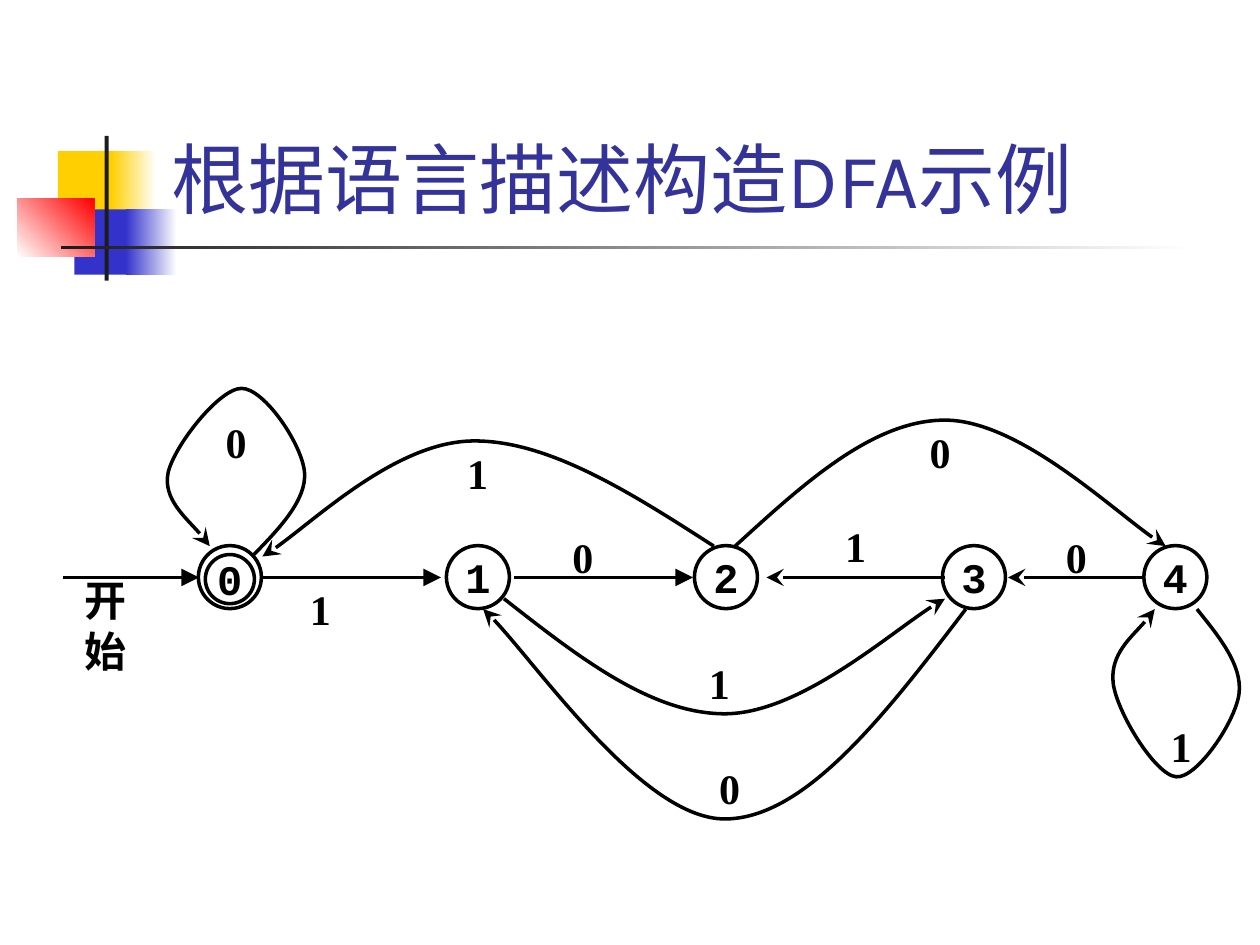
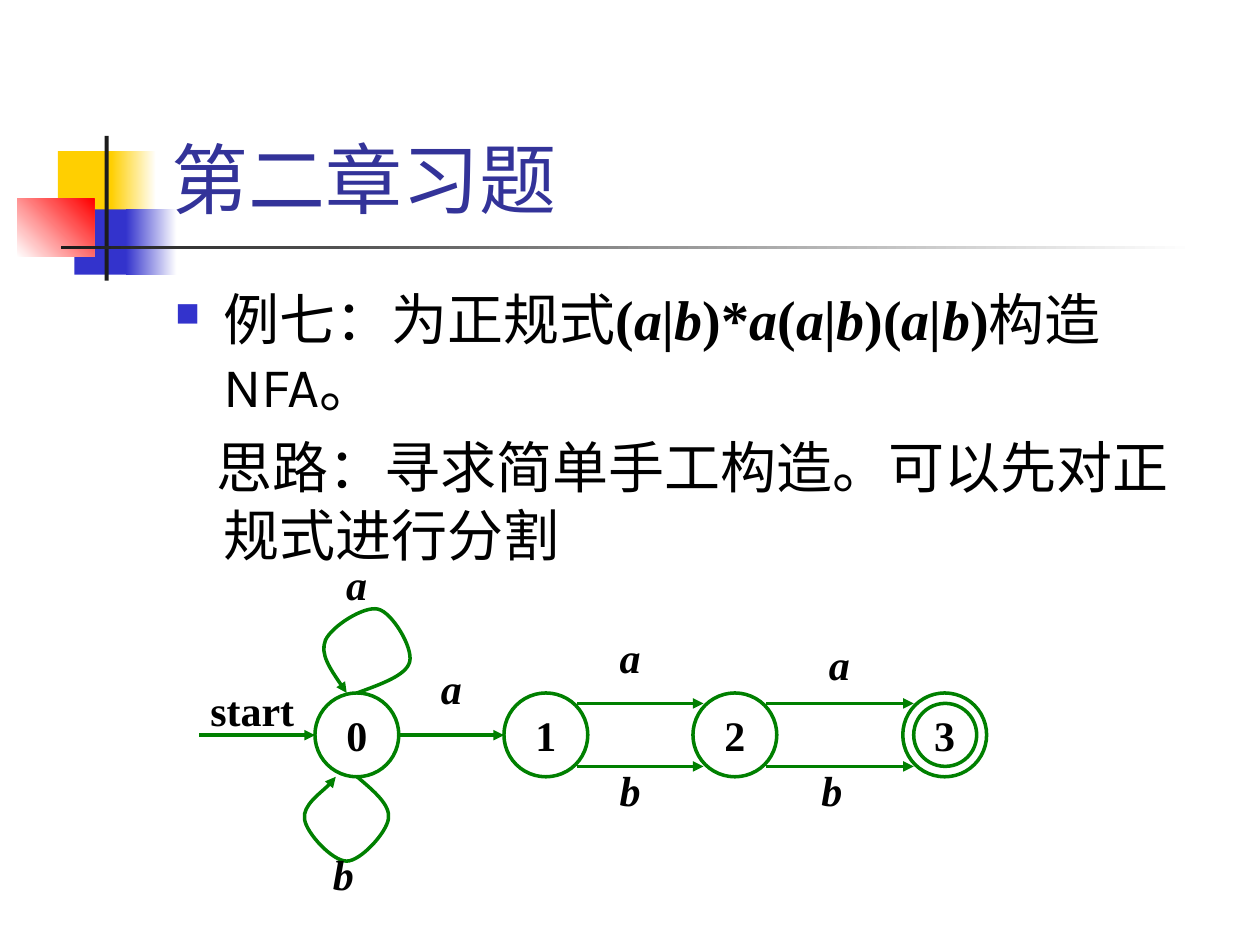
from lxml import etree
from pptx import Presentation
from pptx.dml.color import RGBColor
from pptx.enum.shapes import MSO_CONNECTOR, MSO_SHAPE
from pptx.enum.text import MSO_ANCHOR, PP_ALIGN
from pptx.oxml.ns import qn
from pptx.util import Cm, Pt

RECT, OVAL, STRAIGHT = MSO_SHAPE.RECTANGLE, MSO_SHAPE.OVAL, MSO_CONNECTOR.STRAIGHT
MIDDLE, BOTTOM, TOP = MSO_ANCHOR.MIDDLE, MSO_ANCHOR.BOTTOM, MSO_ANCHOR.TOP
LEFT, CENTER = PP_ALIGN.LEFT, PP_ALIGN.CENTER

BLACK = RGBColor(0x00, 0x00, 0x00)
WHITE = RGBColor(0xFF, 0xFF, 0xFF)
INK = RGBColor(0x1C, 0x1C, 0x1C)
YELLOW = RGBColor(0xFF, 0xCF, 0x01)
BLUE = RGBColor(0x33, 0x33, 0xCC)
RED = RGBColor(0xFF, 0x00, 0x00)
NAVY = RGBColor(0x33, 0x33, 0x99)
GREEN = RGBColor(0x00, 0x80, 0x00)

# Text formats
TITLE = dict(name="Karla", size=Pt(44))
BODY = dict(name="Karla", size=Pt(32))
MATH = dict(name="Times New Roman", size=Pt(32), bold=True)
VAR = dict(MATH, italic=True)
MONO = dict(name="Courier New", size=Pt(24), bold=True)
SERIF = dict(name="Times New Roman", size=Pt(24), bold=True)
SLANT = dict(SERIF, italic=True)

# Frame formats
TITLE_FRAME = dict(word_wrap=True, vertical_anchor=BOTTOM)
BODY_FRAME = dict(word_wrap=True, vertical_anchor=TOP)
WIDE = dict(word_wrap=False, vertical_anchor=MIDDLE)
TIGHT = dict(WIDE, margin_left=Cm(0.15), margin_right=Cm(0.15),
             margin_top=Cm(0.08), margin_bottom=Cm(0.08))
TIGHT_TOP = dict(TIGHT, vertical_anchor=TOP)

# Decoration: left, top, width, height, colour(s), gradient angle
DECOR = [
    (1.17, 3.05, 1.22, 1.32, [YELLOW], 0),
    (2.24, 3.05, 0.91, 1.32, [YELLOW, WHITE], 0),
    (1.5, 4.22, 1.17, 1.32, [BLUE], 0),
    (2.54, 4.22, 1.02, 1.32, [BLUE, WHITE], 0),
    (0.35, 4.01, 1.55, 1.17, [WHITE, RED], 45),
    (2.11, 2.74, 0.08, 2.92, [INK], 0),
    (1.23, 4.95, 22.86, 0.08, [INK, WHITE], 0),
]

# Automata: nodes (left, top, diameter, text), arrows (x1, x2, y, head),
# curves (start, then three points per Bezier piece), labels (text, left, top)
DFA = dict(
    title="根据语言描述构造DFA示例", color=BLACK, head="stealth", head_size="lg",
    node_font=MONO, label_font=SERIF, node_frame=WIDE, label_frame=WIDE,
    label_size=(1.06, 0.85), label_align=CENTER,
    nodes=[(4, 11, 1.27, "")]
    + [(4 + 5 * i, 11, 1.27, str(i)) for i in (1, 2, 3)]
    + [(23.06, 11, 1.27, "4"), (4.14, 11.18, 0.99, "0")],
    arrows=[(1.27, 4.01, 11.64, "triangle"), (5.29, 8.89, 11.64, "triangle"),
            (10.37, 13.97, 11.64, "triangle"), (19.05, 15.45, 11.64, "stealth"),
            (23.07, 20.32, 11.64, "stealth")],
    curves=[
        [(5.08, 11.22), (5.64, 10.65), (6.18, 10.08), (6.14, 9.53),
         (6.1, 8.97), (5.33, 7.83), (4.87, 7.83),
         (4.42, 7.83), (3.51, 8.99), (3.39, 9.53),
         (3.28, 10.06), (4.08, 10.76), (4.23, 11.01)],
        [(10.16, 12.07), (11.64, 13.23), (13.12, 14.39), (14.61, 14.39),
         (16.09, 14.39), (18.31, 12.45), (19.05, 12.07)],
        [(14.82, 11.01), (16.21, 9.74), (17.6, 8.47), (19.05, 8.47),
         (20.5, 8.47), (22.76, 10.58), (23.5, 11.01)],
        [(14.39, 11.01), (12.73, 9.94), (11.05, 8.87), (9.53, 8.89),
         (8, 8.91), (5.99, 10.82), (5.29, 11.22)],
        [(19.47, 12.28), (17.86, 14.39), (16.23, 16.51), (14.61, 16.51),
         (12.98, 16.51), (10.54, 12.98), (9.74, 12.28)],
        [(24.13, 12.28), (24.59, 12.85), (25.04, 13.41), (24.98, 13.97),
         (24.92, 14.53), (24.13, 15.7), (23.71, 15.66),
         (23.28, 15.62), (22.5, 14.33), (22.44, 13.76),
         (22.38, 13.18), (23.14, 12.52), (23.28, 12.28)],
    ],
    labels=[("1", 5.93, 11.85), ("0", 4.23, 8.47), ("0", 11.22, 10.8),
            ("1", 13.97, 13.34), ("0", 18.42, 8.68), ("1", 9.1, 9.1),
            ("0", 14.18, 15.45), ("1", 16.72, 10.58), ("0", 21.17, 10.8),
            ("1", 23.28, 14.61)],
    start=("开始", 1.06, 12.07, 2.12, 1.06, MONO),
)
NFA = dict(
    title="第二章习题", color=GREEN, head="triangle", head_size="med",
    node_font=SERIF, label_font=SLANT, node_frame=TIGHT, label_frame=TIGHT_TOP,
    label_size=(0.74, 1.17), label_align=LEFT,
    nodes=[(x, 13.97, 1.69, str(i))
           for i, x in enumerate((6.35, 10.16, 13.97, 18.2))]
    + [(18.42, 14.18, 1.27, "")],
    arrows=[(4.02, 6.35, 14.82, "triangle"), (8.04, 10.16, 14.82, "triangle")]
    + [(x1, x2, y, "triangle") for x1, x2 in ((11.64, 14.18), (15.45, 18.42))
       for y in (14.18, 15.45)],
    curves=[
        [(7.2, 13.97), (7.68, 13.79), (8.19, 13.62), (8.26, 13.34),
         (8.33, 13.05), (7.9, 12.34), (7.62, 12.28),
         (7.34, 12.21), (6.68, 12.63), (6.56, 12.91),
         (6.45, 13.19), (6.72, 13.58), (6.99, 13.97)],
        [(7.2, 15.66), (7.54, 15.95), (7.88, 16.23), (7.83, 16.51),
         (7.79, 16.79), (7.27, 17.36), (6.99, 17.36),
         (6.7, 17.36), (6.17, 16.79), (6.14, 16.51),
         (6.1, 16.23), (6.7, 15.81), (6.77, 15.66)],
    ],
    labels=[("a", 6.83, 11.18), ("b", 6.56, 17.02), ("a", 8.74, 13.28),
            ("a", 12.34, 12.65), ("b", 12.34, 15.34), ("a", 16.56, 12.8),
            ("b", 16.41, 15.34)],
    start=("start", 4.09, 13.72, 2.01, 1.17, SERIF),
)

EXERCISE = [
    [("例七：为正规式", BODY), ("(", MATH), ("a|b", VAR), (")*", MATH), ("a", VAR),
     ("(", MATH), ("a|b", VAR), (")(", MATH), ("a|b", VAR), (")", MATH),
     ("构造NFA。", BODY)],
    [("思路：寻求简单手工构造。可以先对正规式进行分割", BODY)],
]


def write(sp, paragraphs, frame, align=LEFT, color=BLACK):
    tf = sp.text_frame
    for key, value in frame.items():
        setattr(tf, key, value)
    for i, runs in enumerate(paragraphs):
        p = tf.add_paragraph() if i else tf.paragraphs[0]
        p.alignment = align
        for text, font in runs:
            r = p.add_run()
            r.text = text
            r.font.color.rgb = color
            for key, value in font.items():
                setattr(r.font, key, value)
    return tf


def outline(sp, color, head=None, size="med"):
    sp.line.color.rgb = color
    sp.line.width = Pt(2)
    if head:
        ln = sp._element.find(".//" + qn("a:ln"))
        etree.SubElement(ln, qn("a:tailEnd"), type=head, w=size, len=size)


prs = Presentation()
prs.slide_width, prs.slide_height = Cm(25.4), Cm(19.05)

for d in (DFA, NFA):
    s = prs.slides.add_slide(prs.slide_layouts[6])

    # Decoration
    for x, y, w, h, colors, angle in DECOR:
        sp = s.shapes.add_shape(RECT, Cm(x), Cm(y), Cm(w), Cm(h))
        sp.shadow.inherit = False
        sp.line.fill.background()
        if len(colors) == 1:
            sp.fill.solid()
            sp.fill.fore_color.rgb = colors[0]
        else:
            sp.fill.gradient()
            sp.fill.gradient_angle = angle
            for stop, color in zip(sp.fill.gradient_stops, colors):
                stop.color.rgb = color

    # Title
    sp = s.shapes.add_textbox(Cm(3.2), Cm(0.58), Cm(21.64), Cm(4.06))
    write(sp, [[(d["title"], TITLE)]], TITLE_FRAME, color=NAVY)

    # States
    for x, y, size, text in d["nodes"]:
        sp = s.shapes.add_shape(OVAL, Cm(x), Cm(y), Cm(size), Cm(size))
        sp.shadow.inherit = False
        sp.fill.background()
        outline(sp, d["color"])
        if text:
            write(sp, [[(text, d["node_font"])]], d["node_frame"], CENTER)

    # Straight transitions
    for x1, x2, y, head in d["arrows"]:
        sp = s.shapes.add_connector(STRAIGHT, Cm(x1), Cm(y), Cm(x2), Cm(y))
        outline(sp, d["color"], head, d["head_size"])
        etree.SubElement(sp._element.spPr, qn("a:effectLst"))

    # Curved transitions: every three segments become one Bezier piece
    for curve in d["curves"]:
        points = [(Cm(x), Cm(y)) for x, y in curve]
        builder = s.shapes.build_freeform(*points[0])
        builder.add_line_segments(points[1:], close=False)
        sp = builder.convert_to_shape()
        segments = list(sp._element.iter(qn("a:lnTo")))
        for i in range(0, len(segments), 3):
            bezier = etree.SubElement(segments[i].getparent(), qn("a:cubicBezTo"))
            for segment in segments[i:i + 3]:
                bezier.append(segment[0])
                segment.getparent().remove(segment)
        sp.shadow.inherit = False
        sp.fill.background()
        outline(sp, d["color"], d["head"], d["head_size"])

    # Labels
    labels = [(text, x, y, *d["label_size"], d["label_font"])
              for text, x, y in d["labels"]]
    for text, x, y, w, h, font in labels + [d["start"]]:
        sp = s.shapes.add_textbox(Cm(x), Cm(y), Cm(w), Cm(h))
        write(sp, [[(text, font)]], d["label_frame"], d["label_align"])

# Exercise text on the last slide
sp = s.shapes.add_textbox(Cm(3.28), Cm(5.61), Cm(21.59), Cm(11.43))
tf = write(sp, EXERCISE, BODY_FRAME)
for p, indent in zip(tf.paragraphs, (-0.97, -0.14)):
    pPr = p._p.get_or_add_pPr()
    pPr.set("marL", str(Cm(0.97)))
    pPr.set("indent", str(Cm(indent)))
tf.paragraphs[1].space_before = Pt(8)
pPr = tf.paragraphs[0]._p.get_or_add_pPr()
bullet_color = etree.SubElement(pPr, qn("a:buClr"))
etree.SubElement(bullet_color, qn("a:srgbClr"), val=str(BLUE))
etree.SubElement(pPr, qn("a:buSzPct"), val="60000")
etree.SubElement(pPr, qn("a:buChar"), char="■")

prs.save("out.pptx")
